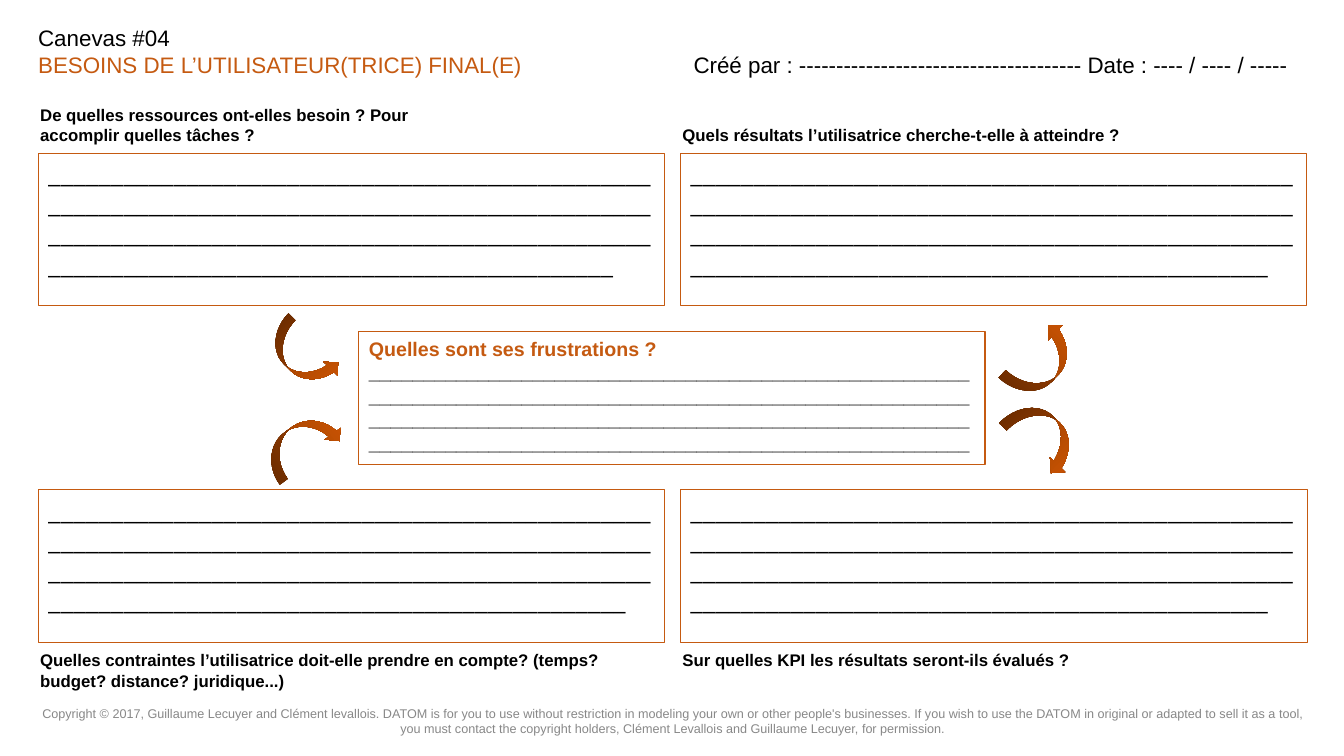
from copy import deepcopy

from pptx import Presentation
from pptx.dml.color import RGBColor
from pptx.enum import shapes, text
from pptx.util import Inches, Pt

ORANGE, BLACK, GREY = "C55A11", "000000", "888888"
ARROW_COLOURS = ["783201", "AF4802", "D25703"]


def rgb(value):
    return RGBColor.from_string(value)


def set_frame(sp, inset_y):
    tf = sp.text_frame
    tf.word_wrap = True
    tf.vertical_anchor = text.MSO_ANCHOR.TOP
    tf.margin_left = tf.margin_right = Inches(0.1)
    tf.margin_top = tf.margin_bottom = Inches(inset_y)
    return tf


def add_run(p, words, size, colour=BLACK, bold=False, font="Arial"):
    r = p.add_run()
    r.text = words
    r.font.name, r.font.size, r.font.bold = font, Pt(size), bold
    r.font.color.rgb = rgb(colour)


def add_text_box(slide, x, y, w, h, inset_y=0.1):
    box = slide.shapes.add_textbox(Inches(x), Inches(y), Inches(w), Inches(h))
    return set_frame(box, inset_y)


def add_frame(slide, x, y, w, h):
    """Outlined rectangle that holds writing lines."""
    sp = slide.shapes.add_shape(shapes.MSO_SHAPE.RECTANGLE,
                                Inches(x), Inches(y), Inches(w), Inches(h))
    sp.shadow.inherit = False
    sp.fill.background()
    sp.line.color.rgb = rgb(ORANGE)
    sp.line.width = Pt(0.75)
    return set_frame(sp, 0.05)


def add_header(slide, x, y, w, h):
    column = w / 2
    p = add_text_box(slide, x, y, column - 0.06, h).paragraphs[0]
    add_run(p, "Canevas #04", 16)
    p.add_line_break()
    add_run(p, "BESOINS DE L’UTILISATEUR(TRICE) FINAL(E)", 16, ORANGE)

    p = add_text_box(slide, x + column + 0.05, y, column - 0.06, h).paragraphs[0]
    p.line_spacing = 2.0
    p.space_after = Pt(6)
    add_run(p, "Créé par : " + "-" * 38 + " Date : ---- / ---- / -----", 16)


def add_question(slide, x, y, w, blanks, question, label_y, label_w, label_h):
    """Question label with its writing frame, both on the same left edge."""
    p = add_text_box(slide, x - 0.08, label_y, label_w, label_h).paragraphs[0]
    add_run(p, question, 12, bold=True)
    p = add_frame(slide, x, y, w, 1.51).paragraphs[0]
    p.alignment = text.PP_ALIGN.JUSTIFY
    add_run(p, "_" * blanks, 18, font="Calibri")


def add_frustrations(slide, x, y, w, h):
    tf = add_frame(slide, x, y, w, h)
    title = tf.paragraphs[0]
    lines = tf.add_paragraph()
    title.alignment = lines.alignment = text.PP_ALIGN.LEFT
    add_run(title, "Quelles sont ses frustrations ?", 14, ORANGE, True)
    add_run(lines, "_" * 220, 14, BLACK, True)


def add_arrow(slide, x, y, w, h, rotation, flipped):
    sp = slide.shapes.add_shape(shapes.MSO_SHAPE.CURVED_RIGHT_ARROW,
                                Inches(x), Inches(y), Inches(w), Inches(h))
    sp.shadow.inherit = False
    sp.rotation = rotation
    if flipped:
        sp._element.spPr.xfrm.set("flipH", "1")
    sp.line.fill.background()
    sp.fill.gradient()
    sp.fill.gradient_angle = 270
    stop_list = sp._element.spPr.gradFill.gsLst
    stop_list.insert(1, deepcopy(stop_list[0]))
    for i, (stop, colour) in enumerate(zip(sp.fill.gradient_stops, ARROW_COLOURS)):
        stop.position = i / 2
        stop.color.rgb = rgb(colour)


def add_footer(slide, x, y, w, h):
    tf = add_text_box(slide, x, y, w, h, 0.05)
    tf.vertical_anchor = text.MSO_ANCHOR.MIDDLE
    tf.margin_bottom = Inches(0.19)
    p = tf.paragraphs[0]
    p.alignment = text.PP_ALIGN.CENTER
    add_run(p, "Copyright © 2017, Guillaume Lecuyer and Clément levallois. "
               "DATOM is for you to use without restriction in modeling your own "
               "or other people's businesses. If you wish to use the DATOM in "
               "original or adapted to sell it as a tool, you must contact the "
               "copyright holders, Clément Levallois and Guillaume Lecuyer, "
               "for permission.", 9, GREY)


def main():
    prs = Presentation()
    prs.slide_width, prs.slide_height = Inches(13.33), Inches(7.5)
    slide = prs.slides.add_slide(prs.slide_layouts[6])

    add_footer(slide, 0.31, 6.94, 12.72, 0.56)
    add_header(slide, 0.28, 0.14, 12.9, 0.44)

    left, right, top, bottom = 0.38, 6.75, 1.52, 4.86
    questions = [
        (left, top, 6.21, 189, "De quelles ressources ont-elles besoin ? "
         "Pour accomplir quelles tâches ?", 0.94, 3.99, 0.69),
        (right, top, 6.21, 190, "Quels résultats l’utilisatrice cherche-t-elle "
         "à atteindre ?", 1.14, 5.3, 0.49),
        (left, bottom, 6.21, 190, "Quelles contraintes l’utilisatrice doit-elle "
         "prendre en compte? (temps? budget? distance? juridique...)",
         6.35, 6.06, 0.69),
        (right, bottom, 6.22, 190, "Sur quelles KPI les résultats seront-ils "
         "évalués ?", 6.35, 6.06, 0.69),
    ]
    for question in questions:
        add_question(slide, *question)

    add_frustrations(slide, 3.56, 3.29, 6.21, 1.32)

    arrows = [
        (2.81, 3.13, 0.39, 0.79, 314.6, False),
        (10.13, 3.18, 0.41, 0.82, 223.5, False),
        (10.14, 3.92, 0.42, 0.82, 313.9, True),
        (2.8, 3.99, 0.39, 0.83, 233.8, True),
    ]
    for arrow in arrows:
        add_arrow(slide, *arrow)

    prs.save("out.pptx")


if __name__ == "__main__":
    main()
